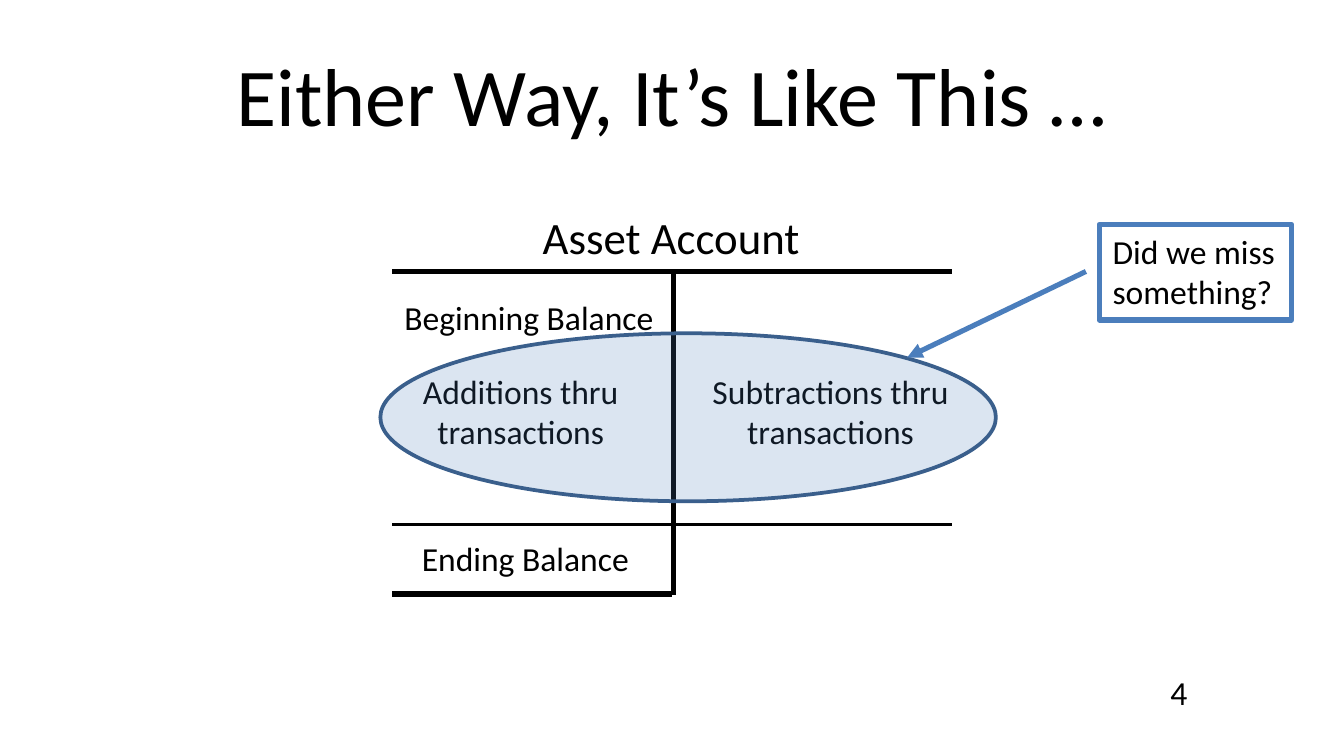
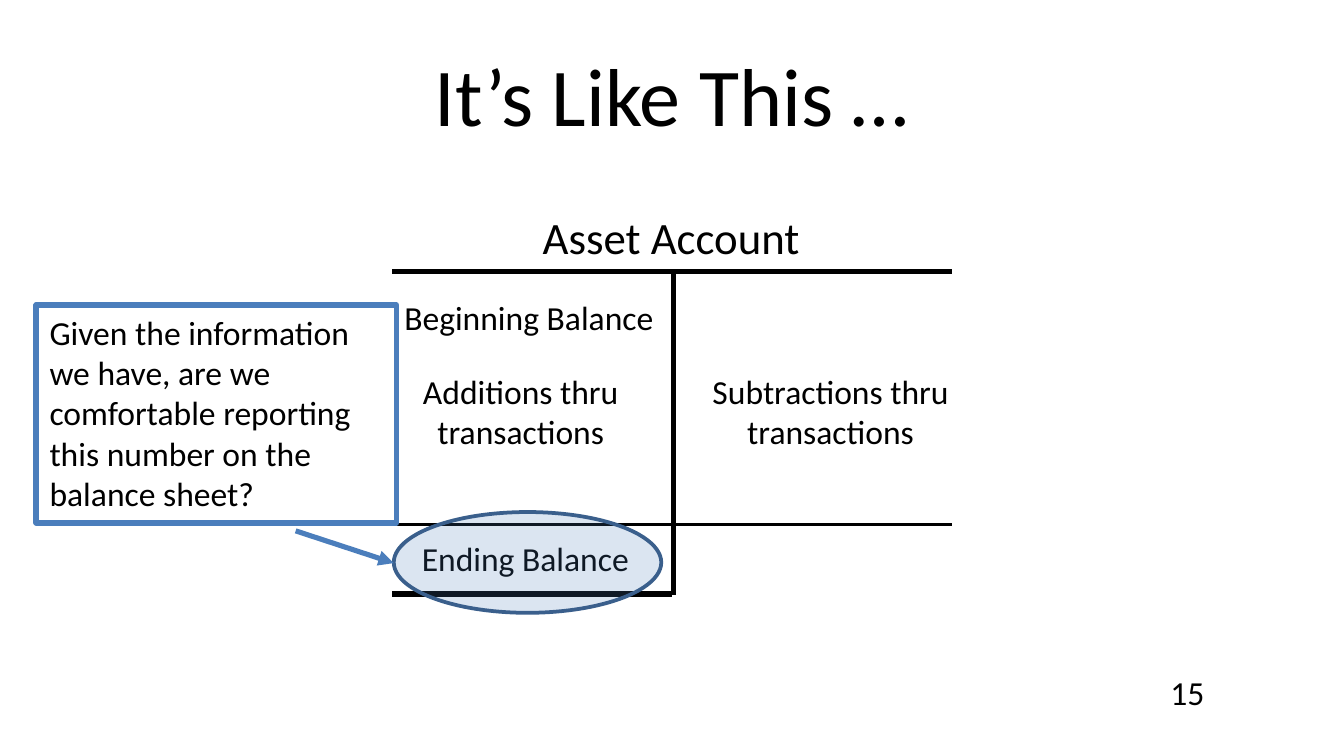
from lxml import etree
from pptx import Presentation
from pptx.dml.color import RGBColor
from pptx.enum.shapes import MSO_CONNECTOR, MSO_SHAPE
from pptx.enum.text import MSO_ANCHOR, MSO_AUTO_SIZE, PP_ALIGN
from pptx.oxml.ns import qn
from pptx.util import Inches, Pt

STRAIGHT = MSO_CONNECTOR.STRAIGHT
OVAL = MSO_SHAPE.OVAL
LEFT = PP_ALIGN.LEFT
CENTER = PP_ALIGN.CENTER
MIDDLE = MSO_ANCHOR.MIDDLE
TOP = MSO_ANCHOR.TOP
FIT_SHAPE = MSO_AUTO_SIZE.SHAPE_TO_FIT_TEXT
FIXED = MSO_AUTO_SIZE.NONE

FONT = "Calibri"
BLACK = RGBColor(0x00, 0x00, 0x00)
WHITE = RGBColor(0xFF, 0xFF, 0xFF)
HIGHLIGHT = RGBColor(0x4F, 0x81, 0xBD)
HIGHLIGHT_EDGE = RGBColor(0x3A, 0x5F, 0x8C)
CALLOUT = RGBColor(0x4B, 0x7E, 0xBC)

SLIDE_WIDTH = Inches(10)
SLIDE_HEIGHT = SLIDE_WIDTH * 9 // 16
ACCOUNT_LEFT, ACCOUNT_MIDDLE, ACCOUNT_RIGHT = 2.92, 5.01, 7.08
ACCOUNT_TOP, ENDING_TOP, ACCOUNT_BOTTOM = 2.02, 3.9, 4.42


def inches(values):
    return [Inches(value) for value in values]


def style_text(frame, size, align):
    for paragraph in frame.paragraphs:
        paragraph.alignment = align
        for run in paragraph.runs:
            run.font.name = FONT
            run.font.size = Pt(size)
            run.font.color.rgb = BLACK


def add_text(shapes, text, box, size=18, align=LEFT, wrap=False, fit=FIT_SHAPE):
    label = shapes.add_textbox(*inches(box))
    frame = label.text_frame
    frame.text = text
    frame.word_wrap = wrap
    frame.auto_size = fit
    frame.vertical_anchor = TOP
    style_text(frame, size, align)
    return label


def add_line(shapes, start, end, width, color=BLACK):
    line = shapes.add_connector(STRAIGHT, *inches(start + end))
    line.line.color.rgb = color
    line.line.width = Pt(width)
    etree.SubElement(line._element.spPr, qn("a:effectLst"))
    return line


def add_arrow(shapes, start, end):
    arrow = add_line(shapes, start, end, 2.75, CALLOUT)
    etree.SubElement(arrow.line._get_or_add_ln(), qn("a:tailEnd"), type="triangle")


def add_highlight(shapes, box):
    oval = shapes.add_shape(OVAL, *inches(box))
    oval.shadow.inherit = False
    oval.fill.solid()
    oval.fill.fore_color.rgb = HIGHLIGHT
    color = oval._element.spPr.find(qn("a:solidFill"))[0]
    etree.SubElement(color, qn("a:alpha"), val="20000")
    oval.line.color.rgb = HIGHLIGHT_EDGE
    oval.line.width = Pt(2)


def add_callout(shapes, text, box, wrap=False):
    callout = add_text(shapes, text, box, wrap=wrap)
    callout.line.color.rgb = CALLOUT
    callout.line.width = Pt(3)


def add_account(slide):
    account = slide.shapes.add_group_shape().shapes
    add_text(account, "Asset Account", (3.94, 1.51, 2.13, 0.5), size=24)
    add_text(account, "Beginning Balance", (2.91, 2.16, 2.08, 0.4))
    add_text(account, "Ending Balance", (3.04, 3.95, 1.76, 0.4))
    for start, end, width in (
        ((ACCOUNT_LEFT, ACCOUNT_TOP), (ACCOUNT_RIGHT, ACCOUNT_TOP), 3),
        ((ACCOUNT_MIDDLE, ACCOUNT_TOP), (ACCOUNT_MIDDLE, 4.43), 3),
        ((ACCOUNT_LEFT, ENDING_TOP), (ACCOUNT_RIGHT, ENDING_TOP), 1.5),
        ((ACCOUNT_LEFT, ACCOUNT_BOTTOM), (5, ACCOUNT_BOTTOM), 3),
    ):
        add_line(account, start, end, width)
    for change, left, width in (("Additions", 3.04, 1.67), ("Subtractions", 5.19, 1.98)):
        add_text(slide.shapes, f"{change} thru\ntransactions",
                 (left, 2.71, width, 0.71), align=CENTER)


def add_account_slide(prs, title_text, number):
    slide = prs.slides.add_slide(prs.slide_layouts[5])
    slide.background.fill.solid()
    slide.background.fill.fore_color.rgb = WHITE
    title = slide.shapes.title
    title.left, title.top, title.width, title.height = inches((0.5, 0.23, 9, 0.94))
    title.text_frame.text = title_text
    title.text_frame.vertical_anchor = MIDDLE
    style_text(title.text_frame, 44, CENTER)
    add_text(slide.shapes, number, (8.61, 4.95, 0.59, 0.3), wrap=True, fit=FIXED)
    add_account(slide)
    return slide


def main():
    prs = Presentation()
    prs.slide_width, prs.slide_height = SLIDE_WIDTH, SLIDE_HEIGHT

    shapes = add_account_slide(prs, "Either Way, It’s Like This …", "4").shapes
    add_highlight(shapes, (2.83, 2.48, 4.58, 1.25))
    add_arrow(shapes, (8.08, 2.02), (6.75, 2.66))
    add_callout(shapes, "Did we miss\nsomething?", (8.18, 1.67, 1.43, 0.71))

    shapes = add_account_slide(prs, "It’s Like This …", "15").shapes
    ending = shapes.add_group_shape().shapes
    add_highlight(ending, (2.93, 3.81, 1.99, 0.75))
    add_arrow(ending, (2.2, 3.95), (2.93, 4.19))
    add_callout(ending, "Given the information\nwe have, are we comfortable reporting "
                "this number on the balance sheet?", (0.27, 2.27, 2.68, 1.62), wrap=True)

    prs.save("out.pptx")


if __name__ == "__main__":
    main()
